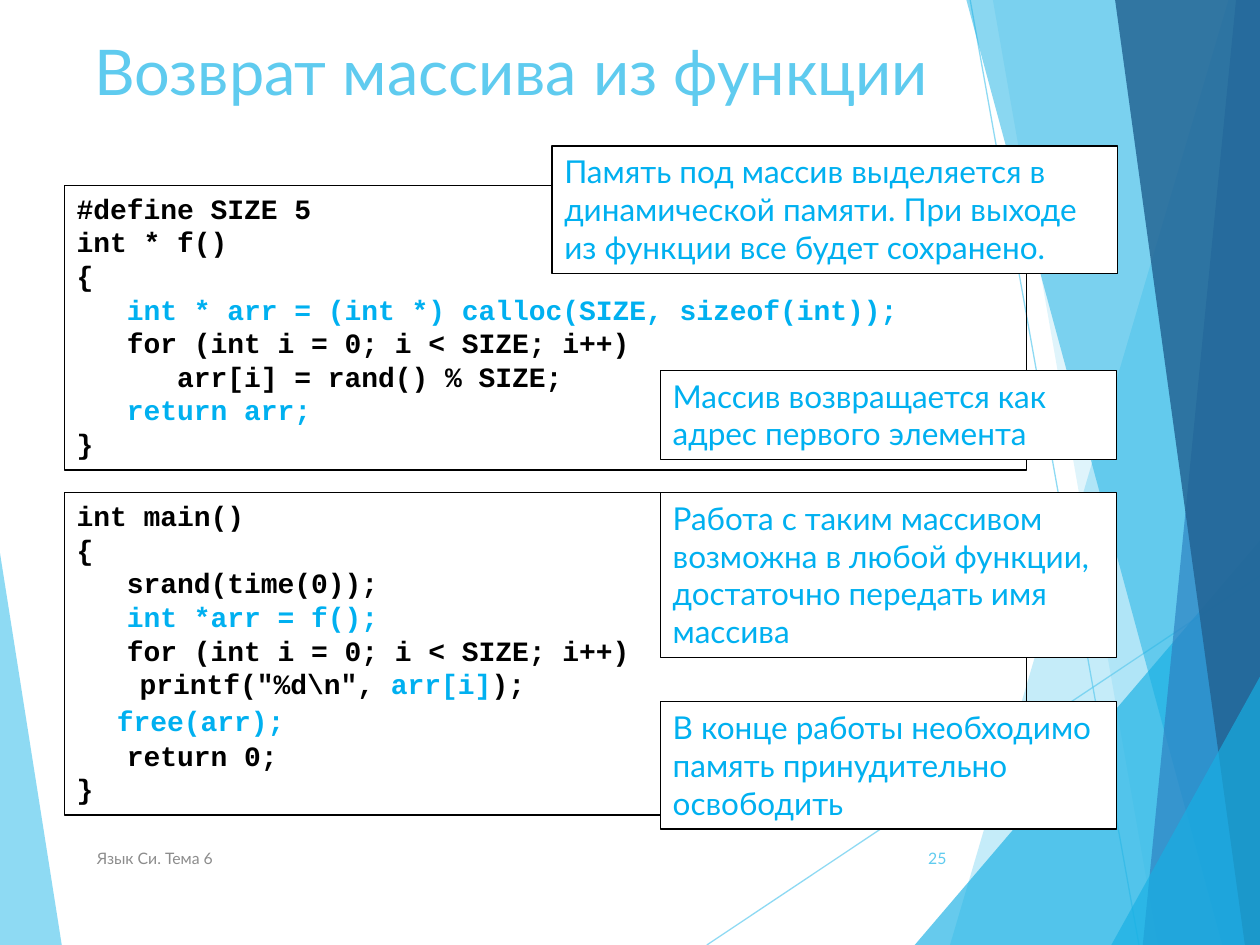
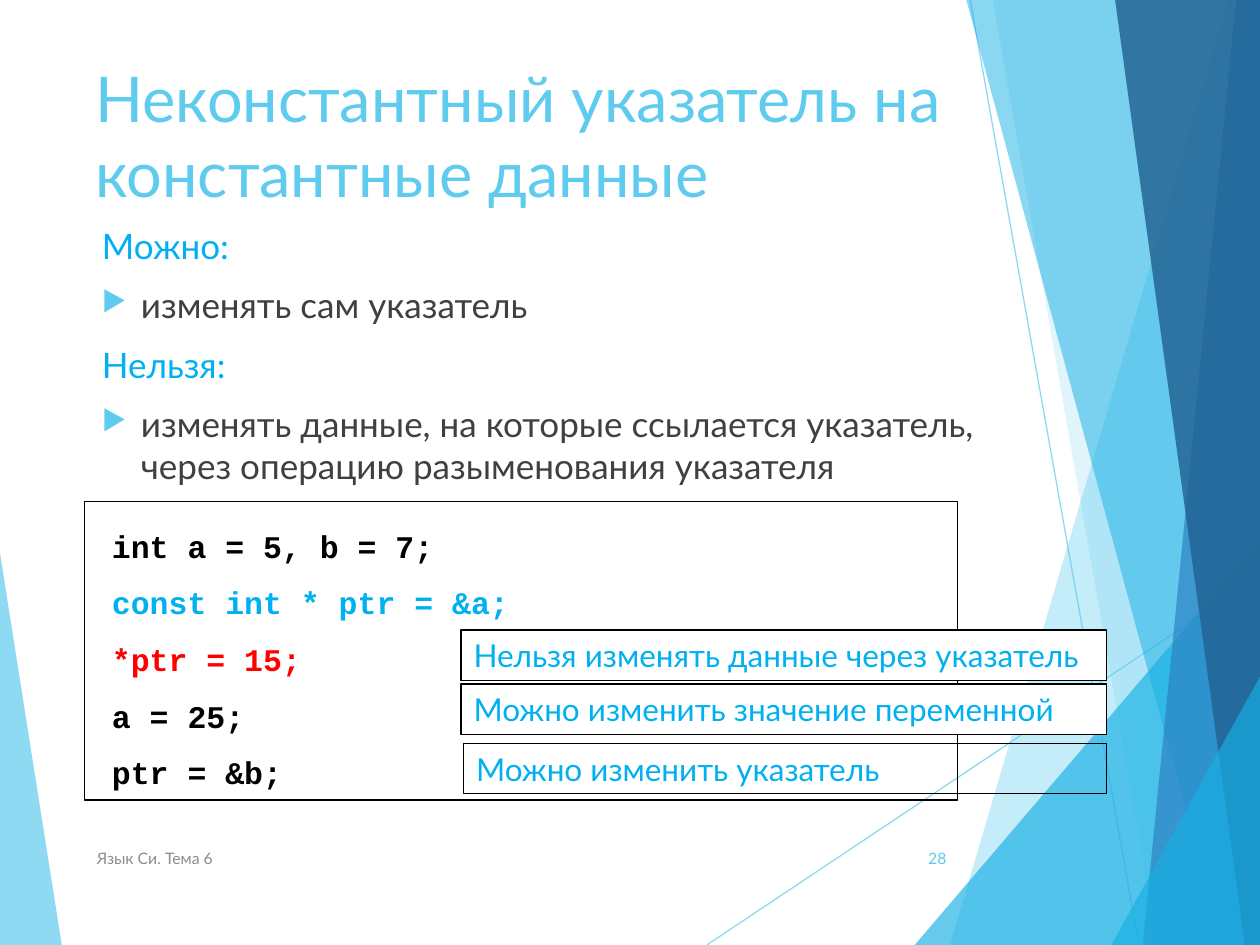
from lxml import etree
from pptx import Presentation
from pptx import util as u
from pptx.dml.color import RGBColor
from pptx.enum import shapes, text
from pptx.oxml.ns import qn

# Shared look
COLORS = {"sky": "5FCBEF", "cyan": "17B0E4", "blue": "2E83C3", "navy": "226292",
          "accent": "00B0F0", "code": "000000", "error": "FF0000", "body": "404040",
          "footer": "8C8C8C", "paper": "FFFFFF"}
BODY_FONT, CODE_FONT = "Lato", "Courier New"
WIDTH, HEIGHT = 10, 7.5
FOOTER = "Язык Си. Тема 6"

# Decoration: outline points, colour, opacity in percent
LEFT_WEDGE = ([(0, 4.39), (0.49, 7.5), (0, 7.5)], "sky", 70)
RAYS = [((5.61, 7.5), (10, 4.57)), ((7.7, 0), (9.04, 7.5))]
RIGHT_BANDS = [  # x at the top, top, x at the bottom
    (9.75, 0, 7.54, "sky", 36),
    (7.88, 0, 9.19, "sky", 20),
    (10, 4.29, 7.26, "cyan", 66),
    (7.67, 0, 9.7, "cyan", 50),
    (9.81, 0, 9.07, "blue", 70),
    (8.85, 0, 9.88, "navy", 82),
    (10, 5.37, 8.82, "cyan", 66),
]

# Content: a code line is a list of (text, colour) spans; "gap" is a body-font indent
FUNCTION_CODE = [
    [("#define SIZE 5", "code")],
    [("int * f()", "code")],
    [("{", "code")],
    [("   ", "code"), ("int * arr = (int *) calloc(SIZE, sizeof(int));", "accent")],
    [("   for (int i = 0; i < SIZE; i++)", "code")],
    [("      arr[i] = rand() % SIZE;", "code")],
    [("   ", "code"), ("return arr;", "accent")],
    [("}", "code")],
]
MAIN_CODE = [
    [("int main()", "code")],
    [("{", "code")],
    [("   srand(time(0));", "code")],
    [("   ", "code"), ("int *arr = f();", "accent")],
    [("   for (int i = 0; i < SIZE; i++)", "code")],
    [(" \tprintf(\"%d\\n\", ", "code"), ("arr[i]", "accent"), (");", "code")],
    [("     ", "gap"), ("free(arr);", "accent")],
    [("   return 0;", "code")],
    [("}", "code")],
]
POINTER_CODE = [
    [("int a = 5, b = 7;", "code")],
    [("const int * ptr = &a;", "accent")],
    [("*ptr = 15;", "error")],
    [("a = 25;", "code")],
    [("ptr = &b;", "code")],
]
RULES = [
    ("Можно:", ["изменять сам указатель"]),
    ("Нельзя:", ["изменять данные, на которые ссылается указатель, "
                 "через операцию разыменования указателя"]),
]
SLIDES = [
    {"title": "Возврат массива из функции", "title_at": (0.65, 0.21), "number": 25,
     "rules": [],
     "code": [((0.51, 1.47, 7.64, 2.26), FUNCTION_CODE, {}),
              ((0.51, 3.91, 7.64, 2.56), MAIN_CODE, {})],
     "callouts": [
         ((4.38, 1.16, 4.49, 1.01), "Память под массив выделяется в динамической памяти. "
                                    "При выходе из функции все будет сохранено.", "paper"),
         ((5.24, 2.94, 3.62, 0.71), "Массив возвращается как адрес первого элемента", "paper"),
         ((5.24, 3.91, 3.62, 1.31), "Работа с таким массивом возможна в любой функции, "
                                    "достаточно передать имя массива", "paper"),
         ((5.24, 5.57, 3.62, 1.01), "В конце работы необходимо память принудительно "
                                    "освободить", "paper")]},
    {"title": "Неконстантный указатель на константные данные", "title_at": (0.66, 0.42),
     "number": 28, "rules": RULES,
     "code": [((0.67, 3.98, 6.93, 2.37), POINTER_CODE,
               {"size": 18, "spacing": 1.5, "margin": 0.12})],
     "callouts": [
         ((3.66, 5, 5.12, 0.4), "Нельзя изменять данные через указатель", "paper"),
         ((3.68, 5.9, 5.1, 0.4), "Можно изменить указатель", None),
         ((3.66, 5.43, 5.12, 0.4), "Можно изменить значение переменной", "paper")]},
]


def rgb(name):
    return RGBColor.from_string(COLORS[name])


def set_font(font, size, color, name=BODY_FONT, bold=False):
    font.size, font.name, font.bold = u.Pt(size), name, bold
    font.color.rgb = rgb(color)


def set_opacity(element, percent):
    color = next(element.iter(qn("a:srgbClr")))
    etree.SubElement(color, qn("a:alpha")).set("val", str(percent * 1000))


def set_indent(para, left, first=0):
    props = para._p.get_or_add_pPr()
    props.set("marL", str(u.Inches(left)))
    props.set("indent", str(u.Inches(first)))
    return props


def add_bullet(props):
    color = etree.SubElement(props, qn("a:buClr"))
    etree.SubElement(color, qn("a:srgbClr")).set("val", COLORS["sky"])
    etree.SubElement(props, qn("a:buSzPct")).set("val", "80000")
    etree.SubElement(props, qn("a:buChar")).set("char", "▶")


# Decoration
def draw_wedge(page, points, color, opacity):
    corners = [(u.Inches(x), u.Inches(y)) for x, y in points]
    builder = page.shapes.build_freeform(*corners[0])
    builder.add_line_segments(corners[1:], close=True)
    wedge = builder.convert_to_shape()
    wedge.shadow.inherit = False
    wedge.line.fill.background()
    wedge.fill.solid()
    wedge.fill.fore_color.rgb = rgb(color)
    set_opacity(wedge._element.spPr, opacity)


def draw_ray(page, start, end):
    ray = page.shapes.add_connector(shapes.MSO_CONNECTOR.STRAIGHT,
                                    *map(u.Inches, start + end))
    ray.line.width = u.Pt(0.75)
    ray.line.color.rgb = rgb("sky")
    set_opacity(ray._element.spPr, 70)
    etree.SubElement(ray._element.spPr, qn("a:effectLst"))


def draw_decoration(page):
    draw_wedge(page, *LEFT_WEDGE)
    for start, end in RAYS:
        draw_ray(page, start, end)
    for top_x, top, bottom_x, color, opacity in RIGHT_BANDS:
        points = [(top_x, top), (bottom_x, HEIGHT), (WIDTH, HEIGHT), (WIDTH, top)]
        draw_wedge(page, points, color, opacity)


# Text parts
def add_label(page, place, words, size, color, anchor=text.MSO_ANCHOR.TOP,
              align=text.PP_ALIGN.LEFT):
    frame = page.shapes.add_textbox(*map(u.Inches, place)).text_frame
    frame.word_wrap, frame.vertical_anchor = True, anchor
    para = frame.paragraphs[0]
    para.text, para.alignment = words, align
    set_font(para.font, size, color)


def add_frame(page, place, fill=None):
    box = page.shapes.add_shape(shapes.MSO_SHAPE.RECTANGLE, *map(u.Inches, place))
    box.shadow.inherit = False
    box.line.color.rgb = rgb("code")
    box.line.width = u.Pt(0.75)
    if fill:
        box.fill.solid()
        box.fill.fore_color.rgb = rgb(fill)
    else:
        box.fill.background()
    frame = box.text_frame
    frame.word_wrap, frame.vertical_anchor = True, text.MSO_ANCHOR.TOP
    frame.auto_size = text.MSO_AUTO_SIZE.SHAPE_TO_FIT_TEXT
    return frame


def add_paragraphs(frame, count):
    return [frame.paragraphs[0]] + [frame.add_paragraph() for _ in range(count - 1)]


def add_code(page, place, lines, size=16, spacing=1, margin=0):
    frame = add_frame(page, place)
    for para, spans in zip(add_paragraphs(frame, len(lines)), lines):
        para.alignment, para.line_spacing = text.PP_ALIGN.LEFT, spacing
        set_indent(para, margin)
        for words, color in spans:
            span = para.add_run()
            span.text = words
            if color == "gap":
                set_font(span.font, 18, "code")
            else:
                set_font(span.font, size, color, CODE_FONT, True)


def add_callout(page, place, words, fill):
    para = add_frame(page, place, fill).paragraphs[0]
    para.text, para.alignment = words, text.PP_ALIGN.LEFT
    set_font(para.font, 18, "accent")


def add_rules(page, rules):
    frame = page.shapes.add_textbox(*map(u.Inches, (0.59, 1.73, 7.56, 2.13))).text_frame
    frame.word_wrap = True
    rows = [(words, words != heading) for heading, items in rules
            for words in [heading] + items]
    for index, (para, (words, bulleted)) in enumerate(
            zip(add_paragraphs(frame, len(rows)), rows)):
        para.text = words
        if index:
            para.space_before = u.Pt(10)
        if bulleted:
            add_bullet(set_indent(para, 0.43, -0.31))
        else:
            set_indent(para, 0.12)
        set_font(para.font, 20, "body" if bulleted else "accent")


def build_slide(deck, content):
    page = deck.slides.add_slide(deck.slide_layouts[6])
    draw_decoration(page)
    add_label(page, content["title_at"] + (6.94, 1.44), content["title"], 36, "sky")
    if content["rules"]:
        add_rules(page, content["rules"])
    middle = text.MSO_ANCHOR.MIDDLE
    add_label(page, (0.67, 6.61, 5.06, 0.4), FOOTER, 9, "footer", middle)
    add_label(page, (7.05, 6.61, 0.56, 0.4), str(content["number"]), 9, "sky", middle,
              text.PP_ALIGN.RIGHT)
    for place, lines, style in content["code"]:
        add_code(page, place, lines, **style)
    for place, words, fill in content["callouts"]:
        add_callout(page, place, words, fill)


def main():
    deck = Presentation()
    deck.slide_width, deck.slide_height = u.Inches(WIDTH), u.Inches(HEIGHT)
    for content in SLIDES:
        build_slide(deck, content)
    deck.save("out.pptx")


if __name__ == "__main__":
    main()
